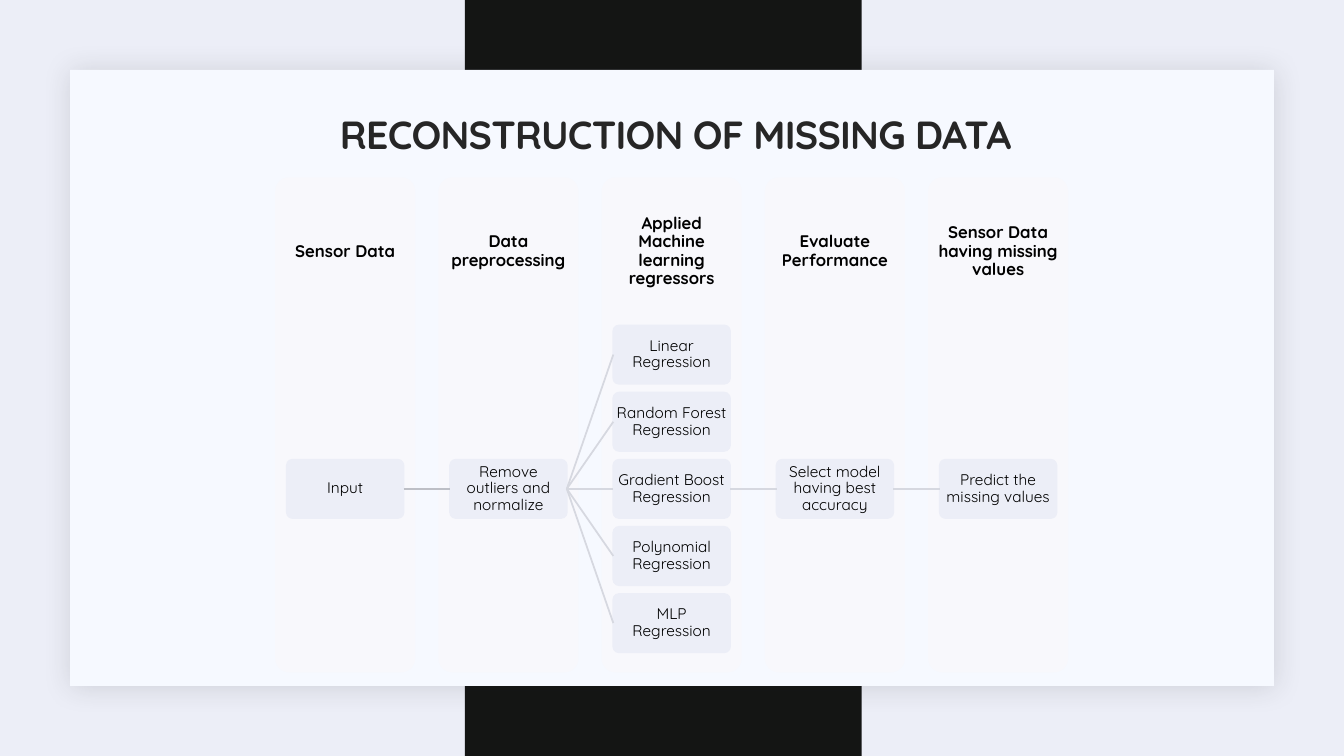
from lxml import etree
from pptx import Presentation
from pptx.dml.color import RGBColor
from pptx.enum.shapes import MSO_CONNECTOR, MSO_SHAPE
from pptx.enum.text import MSO_ANCHOR, PP_ALIGN
from pptx.oxml import parse_xml
from pptx.oxml.ns import nsdecls, qn
from pptx.util import Pt

RECTANGLE, ROUNDED = MSO_SHAPE.RECTANGLE, MSO_SHAPE.ROUNDED_RECTANGLE
STRAIGHT = MSO_CONNECTOR.STRAIGHT
CENTER, MIDDLE, BOTTOM = PP_ALIGN.CENTER, MSO_ANCHOR.MIDDLE, MSO_ANCHOR.BOTTOM
LEFT_SIDE, RIGHT_SIDE = 1, 3

# Content: one stage per column, with the boxes stacked in it
TITLE = "RECONSTRUCTION OF MISSING DATA"
STAGES = [
    ("Sensor Data", ["Input"]),
    ("Data preprocessing", ["Remove outliers and normalize"]),
    ("Applied Machine learning regressors", [
        "Linear Regression",
        "Random Forest Regression",
        "Gradient Boost Regression",
        "Polynomial Regression",
        "MLP Regression",
    ]),
    ("Evaluate Performance", ["Select model having best accuracy"]),
    ("Sensor Data having missing values", ["Predict the missing values"]),
]

# Style
FONT = "Quicksand"
LAVENDER, BLACK_BAND, PANEL, COLUMN = "ECEEF7", "141514", "F6F9FF", "F8F8FC"
TITLE_COLOR, TEXT_COLOR = "262626", "000000"
FIRST_LINK, LINK = "BDBFC6", "D6D8E0"
LINE_WIDTH = 1.25

# Layout in points
COLUMN_LEFT, COLUMN_TOP, COLUMN_PITCH = 196.6, 126.7, 116.6
COLUMN_WIDTH, COLUMN_HEIGHT, HEADER_HEIGHT = 100, 353.5, 106
BOX_WIDTH, BOX_HEIGHT, BOX_PITCH = 83.4, 41.7, 47.95
FLOW_Y = 349.2


def rgb(color):
    return RGBColor.from_string(color)


def add_block(kind, left, top, width, height, fill, line=None):
    shape = slide.shapes.add_shape(kind, Pt(left), Pt(top), Pt(width), Pt(height))
    shape.shadow.inherit = False
    shape.fill.solid()
    shape.fill.fore_color.rgb = rgb(fill)
    if line:
        shape.line.color.rgb = rgb(line)
        shape.line.width = Pt(LINE_WIDTH)
    else:
        shape.line.fill.background()
    if kind == ROUNDED:
        shape.adjustments[0] = 0.1
    return shape


def write(shape, text, size, color, bold=False, anchor=MIDDLE, inset=6.6):
    frame = shape.text_frame
    frame.word_wrap = True
    frame.vertical_anchor = anchor
    frame.margin_left = frame.margin_right = Pt(inset)
    frame.margin_top = frame.margin_bottom = Pt(inset)
    paragraph = frame.paragraphs[0]
    paragraph.text = text
    paragraph.alignment = CENTER
    paragraph.line_spacing = 0.9
    paragraph.font.name = FONT
    paragraph.font.size = Pt(size)
    paragraph.font.bold = bold
    paragraph.font.color.rgb = rgb(color)
    return paragraph


def add_link(start, end, color):
    link = slide.shapes.add_connector(STRAIGHT, 0, 0, 0, 0)
    link.begin_connect(start, RIGHT_SIDE)
    link.end_connect(end, LEFT_SIDE)
    link.line.color.rgb = rgb(color)
    link.line.width = Pt(LINE_WIDTH)
    etree.SubElement(link._element.spPr, qn("a:effectLst"))


presentation = Presentation()
presentation.slide_width, presentation.slide_height = Pt(960), Pt(540)
slide = presentation.slides.add_slide(presentation.slide_layouts[5])
slide.background.fill.solid()
slide.background.fill.fore_color.rgb = rgb(LAVENDER)

# Title
title = slide.shapes.title
title.left, title.top, title.width, title.height = Pt(86.6), Pt(59.8), Pt(792), Pt(56.9)
title_paragraph = write(title, TITLE, 28, TITLE_COLOR, True, BOTTOM, 3.6)
title_paragraph.runs[0].font._element.set("spc", "-50")

# Black band and raised panel, behind the title
band = add_block(RECTANGLE, 332, 0, 283.5, 540, BLACK_BAND)
panel = add_block(RECTANGLE, 50, 50, 860, 440, PANEL)
panel._element.spPr.find(qn("a:effectLst")).append(parse_xml(
    f'<a:outerShdw {nsdecls("a")} blurRad="{Pt(20)}" dist="{Pt(2)}" dir="2700000" '
    'algn="ctr" rotWithShape="0"><a:srgbClr val="1F2125"><a:alpha val="15000"/>'
    '</a:srgbClr></a:outerShdw>'))
for backdrop in (band, panel):
    title._element.addprevious(backdrop._element)

# Columns with their headers and boxes
stage_boxes = []
for index, (header, labels) in enumerate(STAGES):
    left = COLUMN_LEFT + index * COLUMN_PITCH
    add_block(ROUNDED, left, COLUMN_TOP, COLUMN_WIDTH, COLUMN_HEIGHT, COLUMN)
    header_box = slide.shapes.add_textbox(
        Pt(left), Pt(COLUMN_TOP), Pt(COLUMN_WIDTH), Pt(HEADER_HEIGHT))
    write(header_box, header, 12, TEXT_COLOR, True)

    box_left = left + (COLUMN_WIDTH - BOX_WIDTH) / 2
    boxes = []
    for row, label in enumerate(labels):
        center = FLOW_Y + (row - (len(labels) - 1) / 2) * BOX_PITCH
        box = add_block(ROUNDED, box_left, center - BOX_HEIGHT / 2,
                        BOX_WIDTH, BOX_HEIGHT, LAVENDER, LAVENDER)
        write(box, label, 11, TEXT_COLOR, inset=0.9)
        boxes.append(box)
    stage_boxes.append(boxes)

# Links: the middle box of each stage leads to the next stage
for index, (boxes, next_boxes) in enumerate(zip(stage_boxes, stage_boxes[1:])):
    for next_box in next_boxes:
        add_link(boxes[len(boxes) // 2], next_box, LINK if index else FIRST_LINK)

presentation.save("out.pptx")
